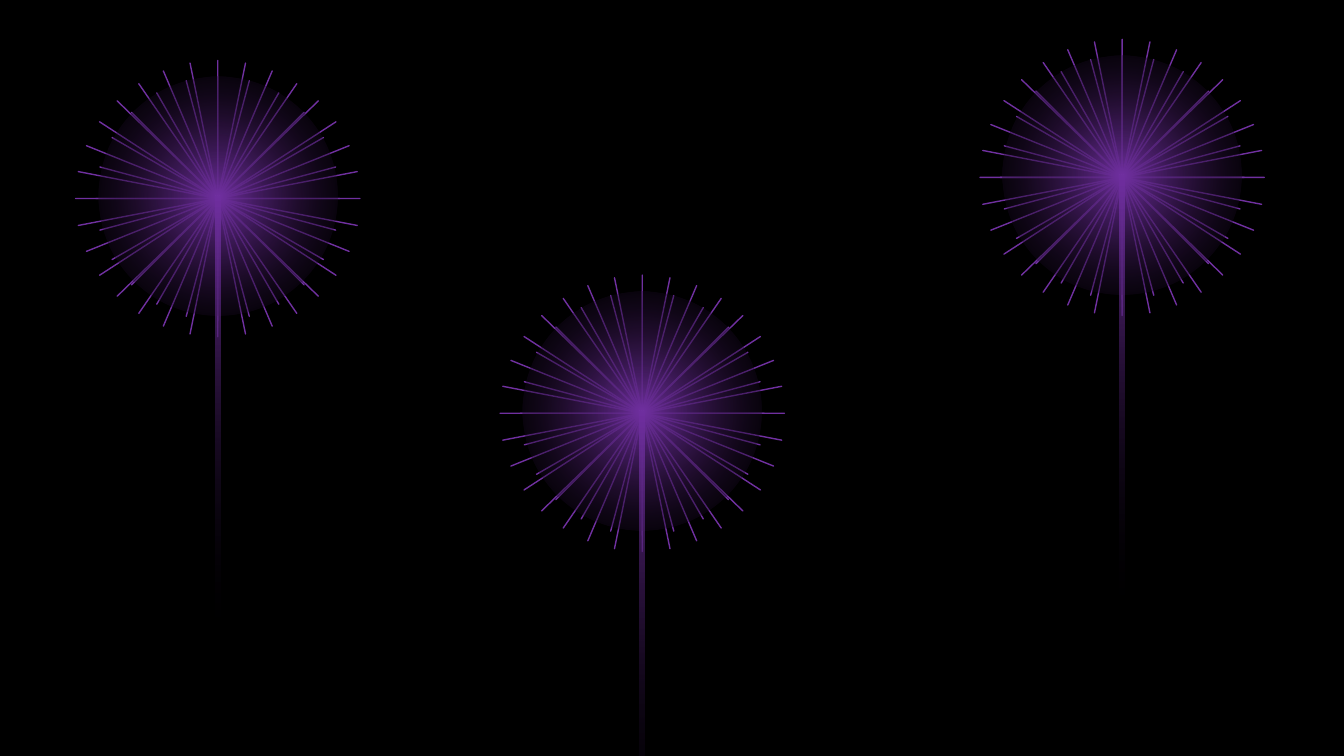
from dataclasses import dataclass
from lxml import etree
from pptx import Presentation
from pptx.dml.color import RGBColor
from pptx.enum.shapes import MSO_SHAPE as Shape
from pptx.oxml import parse_xml
from pptx.oxml.ns import nsdecls, qn
from pptx.util import Inches, Pt


@dataclass(frozen=True)
class Theme:
    night: str = "000000"
    ray: str = "7030A0"
    haze: str = "240F33"
    star: str = "5B9BD5"
    ray_width: float = 1


THEME = Theme()
WIDTH, HEIGHT = 13.33, 7.5

BURST_CENTERS = [(2.16, 1.97), (6.37, 4.1), (11.13, 1.76)]
RAYS = [
    (Shape.STAR_32_POINT, 2.82, 2.74, THEME.star),
    (Shape.STAR_24_POINT, 2.42, 2.42, None),
]
GLOW_SIZE, GLOW_RISE = 2.37, 0.02
STEM_WIDTH, STEM_LENGTH, STEM_RISE = 0.05, 4.57, 0.03

GLOW_STOPS = [(0, THEME.ray, 100), (60, THEME.haze, 50), (100, THEME.night, 0)]
STEM_STOPS = [(0, THEME.ray, 100), (100, THEME.night, 0)]
RADIAL = ('<a:path path="circle"><a:fillToRect l="50000" t="50000" '
          'r="50000" b="50000"/></a:path>')
DOWNWARD = '<a:lin ang="5400000" scaled="0"/>'


def add_centered(shapes, kind, cx, cy, w, h):
    sp = shapes.add_shape(kind, Inches(cx - w / 2), Inches(cy - h / 2),
                          Inches(w), Inches(h))
    sp.shadow.inherit = False
    return sp


def fade(sp, stops, direction):
    sp.line.fill.background()
    marks = "".join(
        f'<a:gs pos="{pos * 1000}"><a:srgbClr val="{color}">'
        f'<a:alpha val="{alpha * 1000}"/></a:srgbClr></a:gs>'
        for pos, color, alpha in stops)
    grad = parse_xml(f'<a:gradFill {nsdecls("a")} rotWithShape="1">'
                     f'<a:gsLst>{marks}</a:gsLst>{direction}</a:gradFill>')
    sp._element.spPr.find(qn("a:prstGeom")).addnext(grad)


def add_rays(shapes, kind, cx, cy, w, h, color):
    sp = add_centered(shapes, kind, cx, cy, w, h)
    sp.adjustments[0] = 0
    if color:
        sp.fill.solid()
        sp.fill.fore_color.rgb = RGBColor.from_string(color)
    else:
        sp.fill.background()
    sp.line.color.rgb = RGBColor.from_string(THEME.ray)
    sp.line.width = Pt(THEME.ray_width)


def add_firework(s, cx, cy):
    burst = s.shapes.add_group_shape().shapes
    for kind, w, h, color in RAYS:
        add_rays(burst, kind, cx, cy, w, h, color)
    glow = add_centered(burst, Shape.OVAL, cx, cy - GLOW_RISE,
                        GLOW_SIZE, GLOW_SIZE)
    fade(glow, GLOW_STOPS, RADIAL)
    stem = add_centered(s.shapes, Shape.RECTANGLE, cx,
                        cy - STEM_RISE + STEM_LENGTH / 2,
                        STEM_WIDTH, STEM_LENGTH)
    fade(stem, STEM_STOPS, DOWNWARD)


def main():
    prs = Presentation()
    prs.slide_width, prs.slide_height = Inches(WIDTH), Inches(HEIGHT)
    s = prs.slides.add_slide(prs.slide_layouts[6])
    s.background.fill.solid()
    s.background.fill.fore_color.rgb = RGBColor.from_string(THEME.night)
    for cx, cy in BURST_CENTERS:
        add_firework(s, cx, cy)
    prs.save("out.pptx")


if __name__ == "__main__":
    main()
